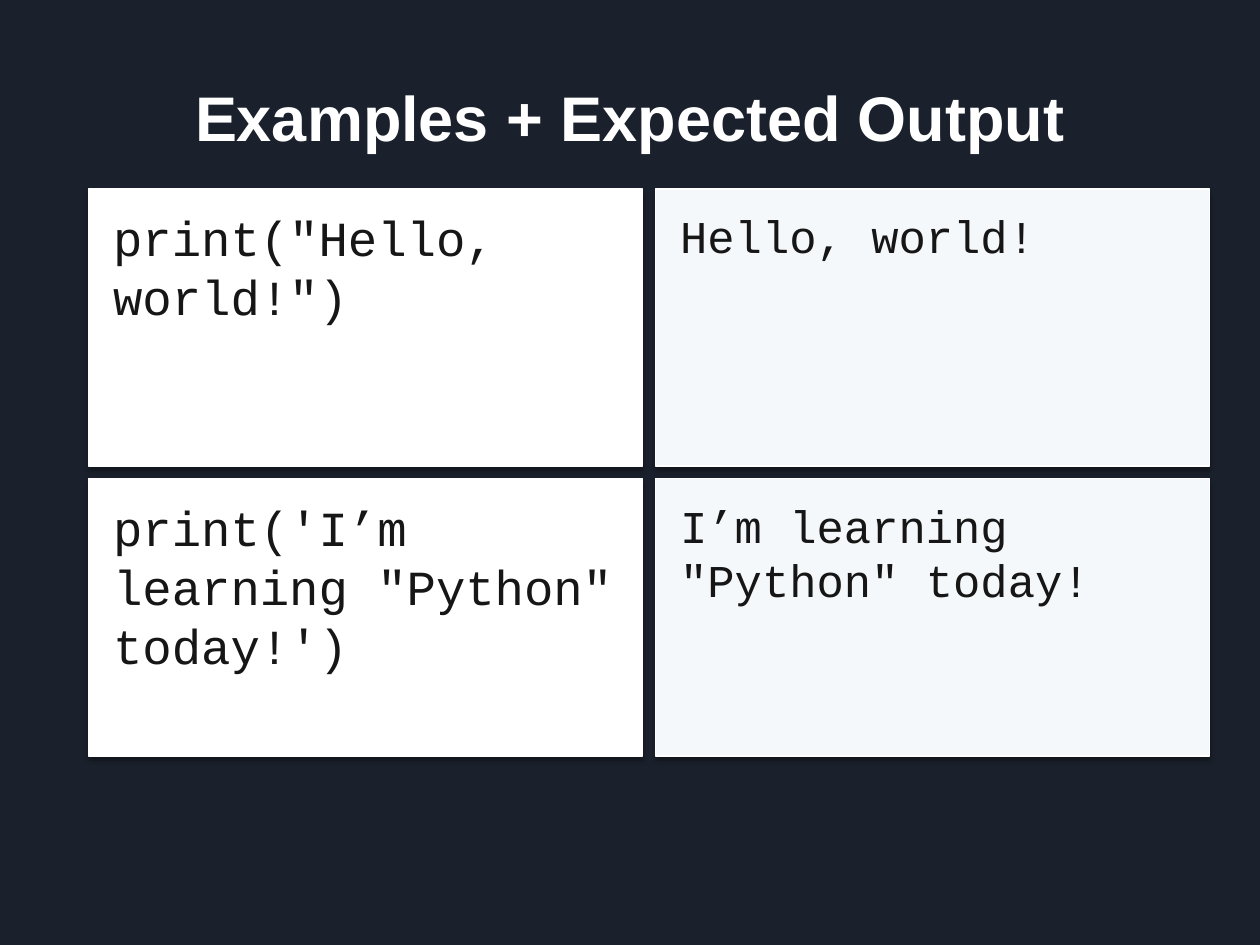
from lxml import etree
from pptx import Presentation
from pptx.dml.color import RGBColor
from pptx.enum.shapes import MSO_SHAPE
from pptx.enum.text import MSO_ANCHOR, MSO_AUTO_SIZE, PP_ALIGN
from pptx.oxml import parse_xml
from pptx.oxml.ns import qn
from pptx.util import Inches, Pt

RECTANGLE = MSO_SHAPE.RECTANGLE
MIDDLE = MSO_ANCHOR.MIDDLE
FIT_TEXT = MSO_AUTO_SIZE.SHAPE_TO_FIT_TEXT
CENTER = PP_ALIGN.CENTER

SHADOW_XML = (
    '<a:outerShdw xmlns:a="http://schemas.openxmlformats.org/drawingml/2006/main" '
    f'blurRad="{Pt(3.1)}" dist="{Pt(1.8)}" dir="5400000" rotWithShape="0">'
    '<a:srgbClr val="000000"><a:alpha val="35000"/></a:srgbClr></a:outerShdw>'
)


def color(hex_string):
    return RGBColor.from_string(hex_string)


def write_text(text_frame, text, font_values, font_color):
    text_frame.word_wrap = True
    run = text_frame.paragraphs[0].add_run()
    run.text = text
    for name, value in font_values.items():
        setattr(run.font, name, value)
    run.font.color.rgb = color(font_color)


presentation = Presentation()
presentation.slide_width = Inches(10)
presentation.slide_height = Inches(7.5)
slide = presentation.slides.add_slide(presentation.slide_layouts[5])
slide.background.fill.solid()
slide.background.fill.fore_color.rgb = color("1B212C")

# Title
title = slide.shapes.title
title.left, title.top = Inches(0.5), Inches(0.3)
title.width, title.height = Inches(9), Inches(1.25)
title.text_frame.vertical_anchor = MIDDLE
write_text(title.text_frame, "Examples + Expected Output",
           {"name": "Arial", "size": Pt(36), "bold": True}, "FFFFFF")
title.text_frame.paragraphs[0].alignment = CENTER

# Grid of examples: code on the left, its output on the right
examples = [
    ('print("Hello, world!")', "Hello, world!"),
    ("print('I’m learning \"Python\" today!')", 'I’m learning "Python" today!'),
]
columns = [{"fill": "FFFFFF", "size": 28}, {"fill": "F5F8FA", "size": 26}]
grid_left, grid_top = 0.7, 1.5
card_width, card_height = 4.4, 2.2
gap = padding = 0.1

for row, example in enumerate(examples):
    for column, (text, style) in enumerate(zip(example, columns)):
        left = grid_left + column * (card_width + gap)
        top = grid_top + row * (card_height + gap)

        # Card with a soft shadow below
        card = slide.shapes.add_shape(RECTANGLE, Inches(left), Inches(top),
                                      Inches(card_width), Inches(card_height))
        card.fill.solid()
        card.fill.fore_color.rgb = color(style["fill"])
        card.line.color.rgb = color("FFFFFF")
        card.line.width = Pt(0.75)
        card.shadow.inherit = False
        effects = card._element.spPr.find(qn("a:effectLst"))
        effects.append(parse_xml(SHADOW_XML))

        # Text inside the card
        text_box = slide.shapes.add_textbox(
            Inches(left + padding), Inches(top + padding),
            Inches(card_width - 2 * padding), Inches(card_height - 2 * padding))
        text_box.text_frame.auto_size = FIT_TEXT
        write_text(text_box.text_frame, text,
                   {"name": "Courier New", "size": Pt(style["size"])}, "161616")

presentation.save("out.pptx")
